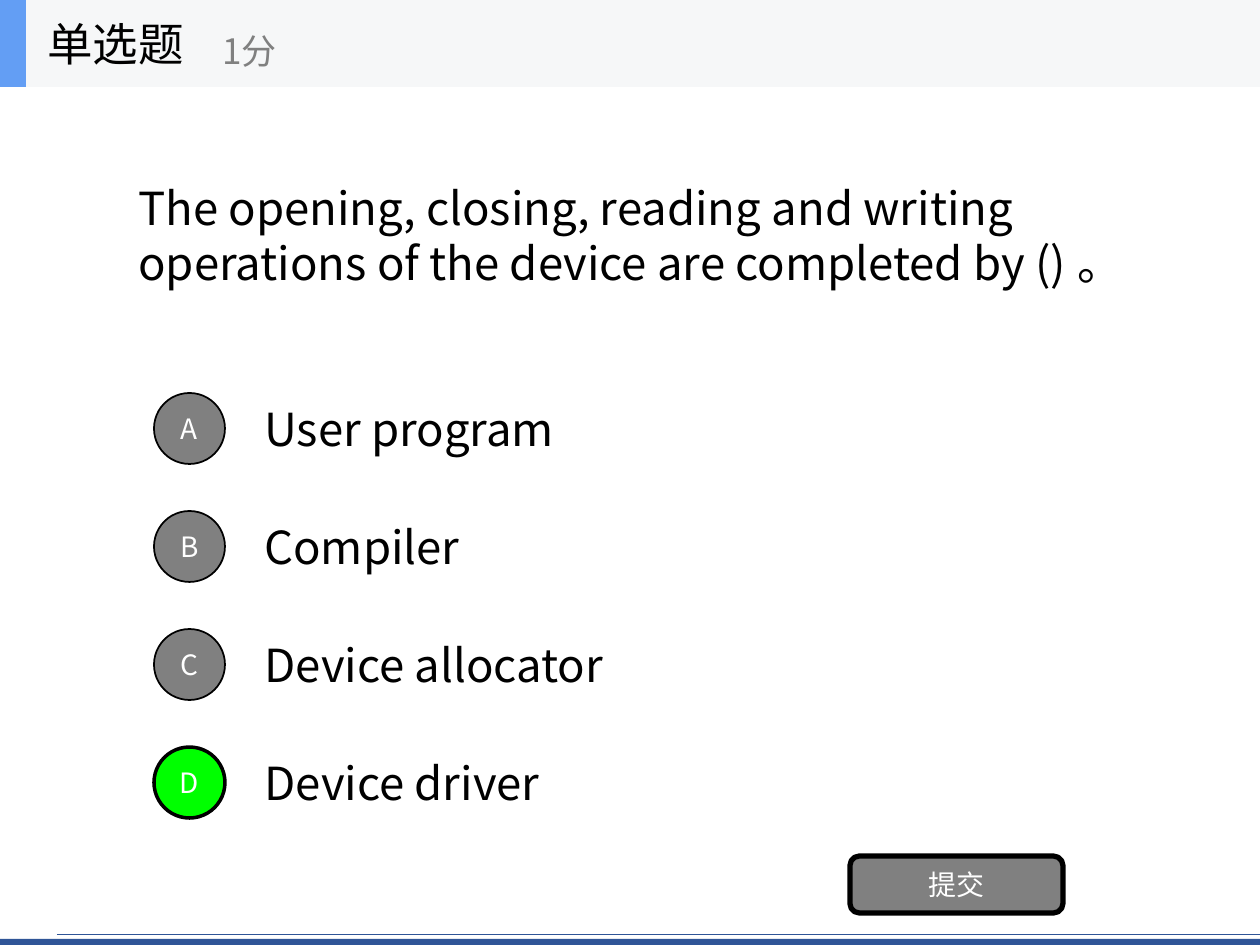
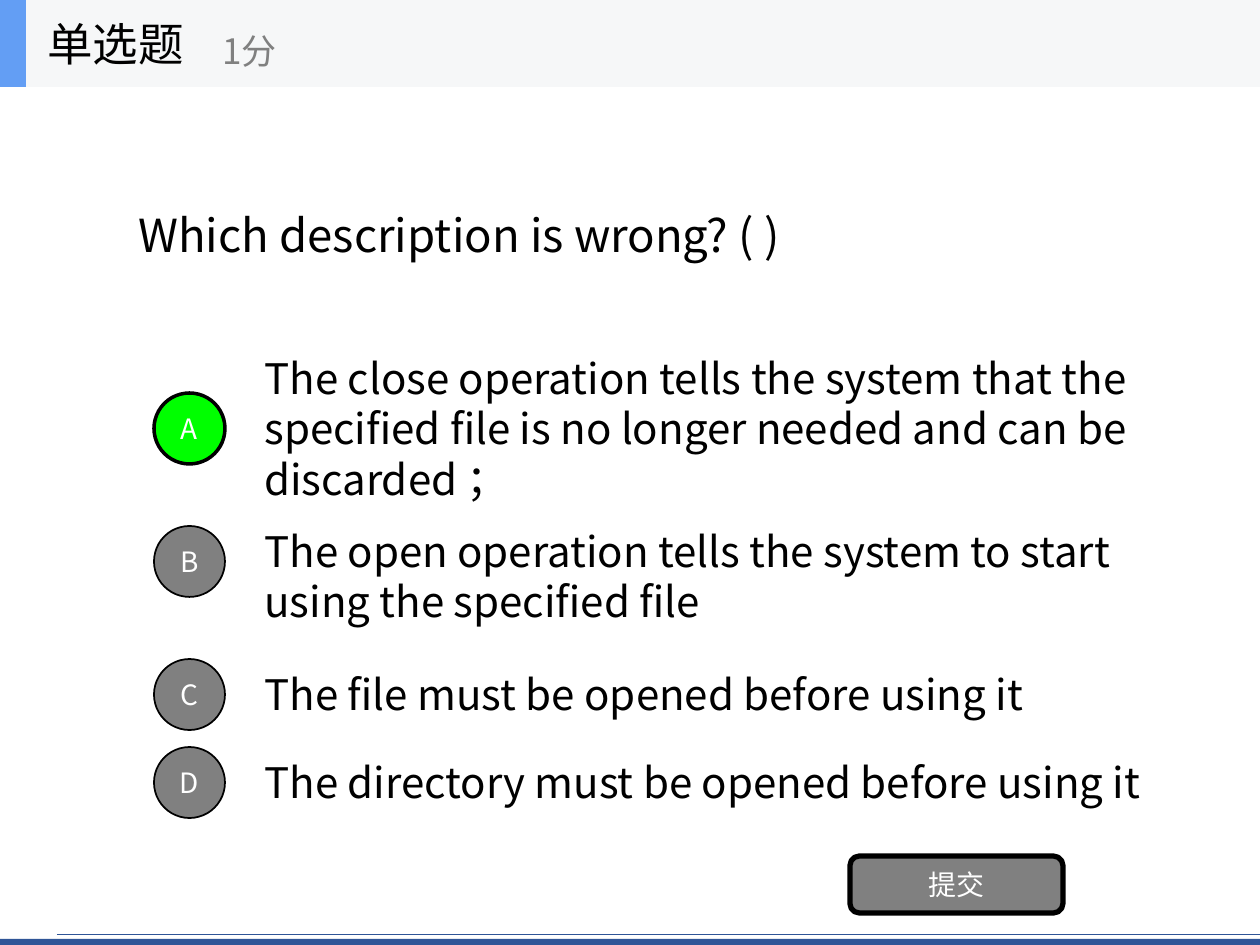
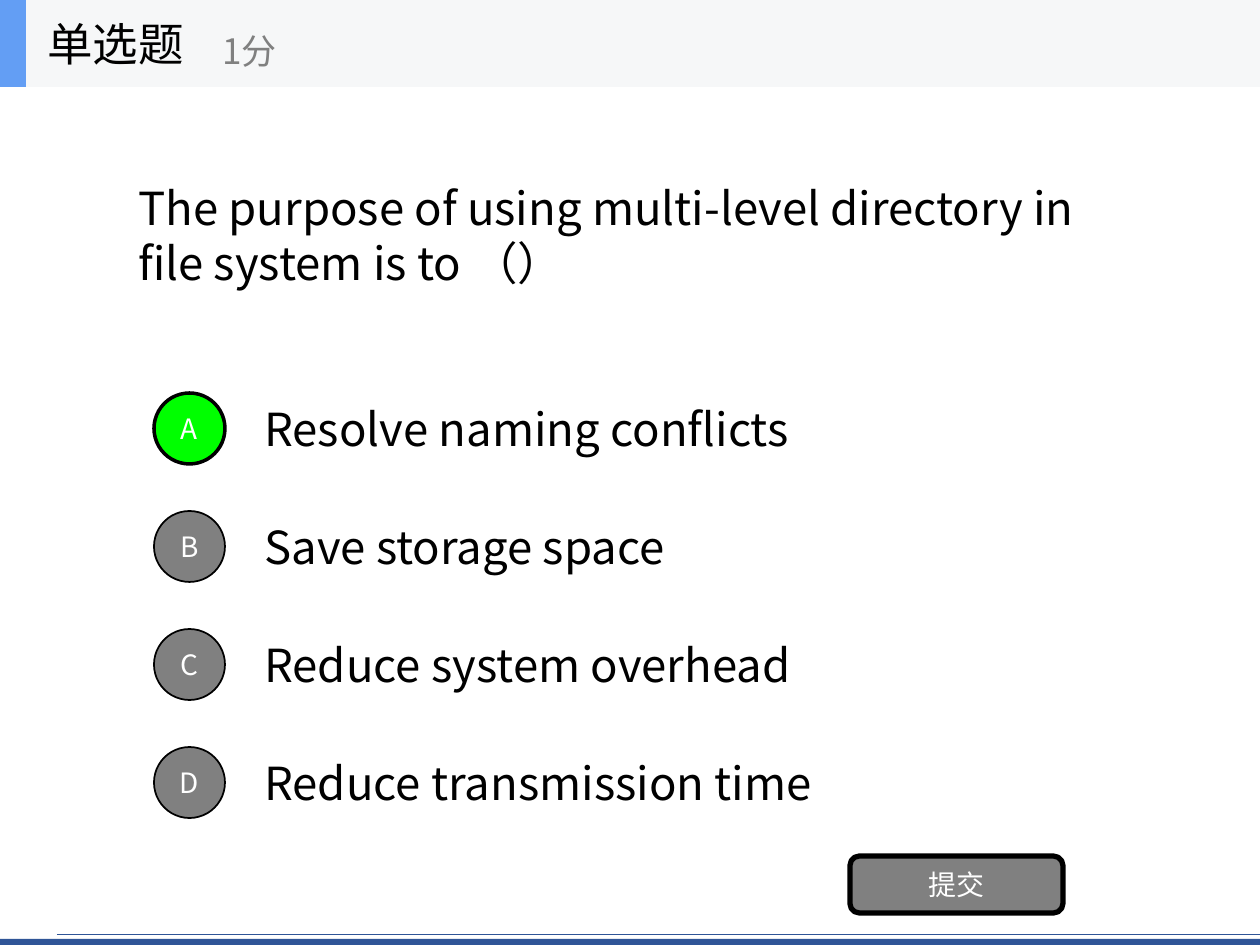
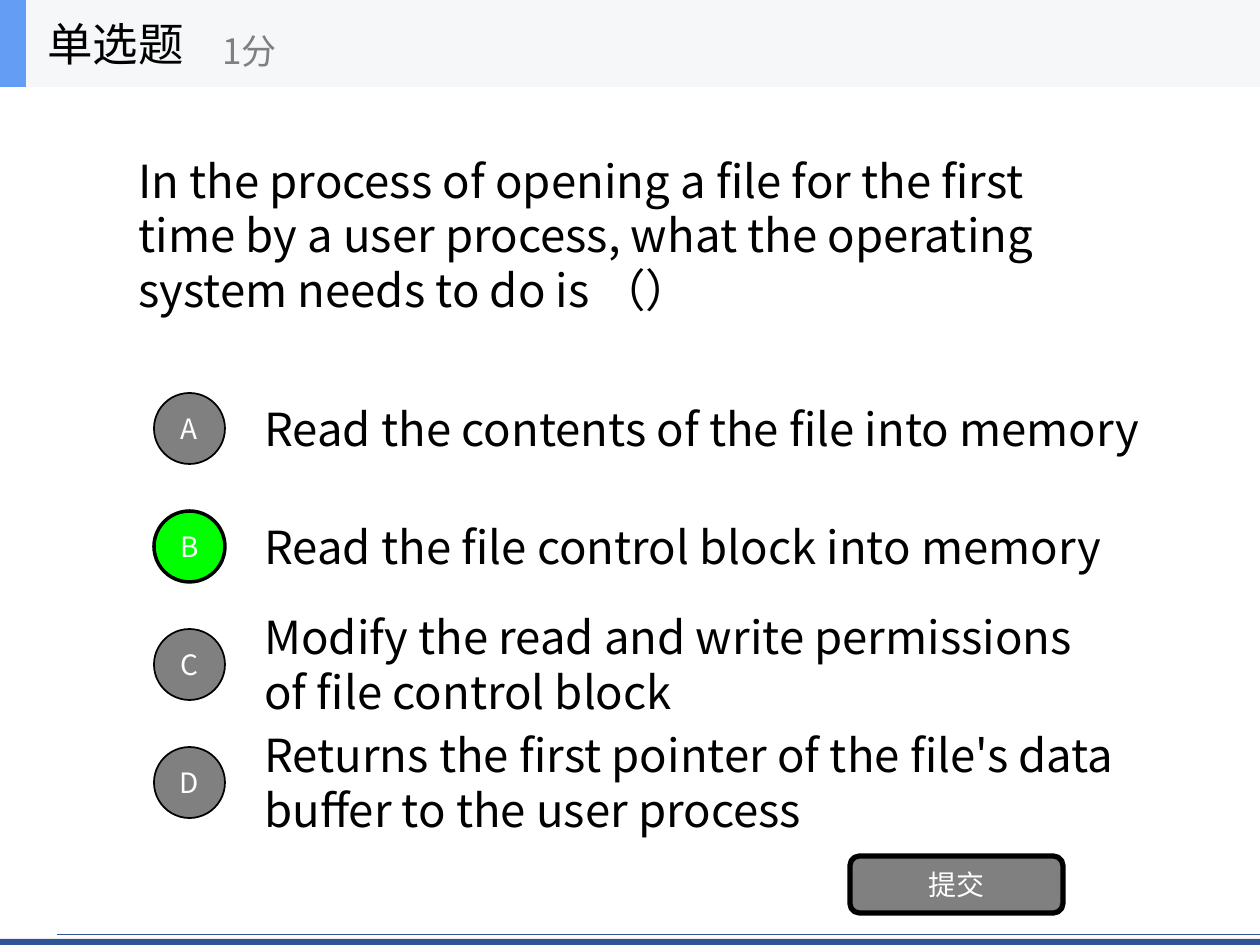
from dataclasses import dataclass

from lxml.etree import SubElement
from pptx import Presentation
from pptx.dml.color import RGBColor
from pptx.enum.shapes import MSO_CONNECTOR, MSO_SHAPE
from pptx.enum.text import MSO_ANCHOR, PP_ALIGN
from pptx.oxml.ns import qn
from pptx.util import Emu, Pt

PIXELS_PER_INCH = 126
PAGE_WIDTH, PAGE_HEIGHT = 1260, 945
FONT = "Noto Sans CJK SC"
COLORS = {
    "ink": "000000",
    "white": "FFFFFF",
    "gray": "808080",
    "correct": "00FF00",
    "header": "F6F7F8",
    "accent": "639EF4",
    "footer": "2F5597",
}
EVEN_ROWS = tuple(row * 118 for row in range(4))


@dataclass
class Question:
    prompt: str
    options: tuple
    answer: str
    prompt_width: int = 1008
    option_widths: tuple = (882, 882, 882, 882)
    option_size: int = 26
    option_rows: tuple = EVEN_ROWS
    badge_rows: tuple = EVEN_ROWS


QUESTIONS = (
    Question(
        "The opening, closing, reading and writing operations of the device are completed by () 。",
        ("User program", "Compiler", "Device allocator", "Device driver"),
        "D",
        prompt_width=1047,
    ),
    Question(
        "Which description is wrong? ( )",
        (
            "The close operation tells the system that the specified file is no longer needed and can be discarded ；",
            "The open operation tells the system to start using the specified file",
            "The file must be opened before using it",
            "The directory must be opened before using it",
        ),
        "A",
        option_widths=(971, 882, 910, 1008),
        option_size=24,
        option_rows=(0, 148, 266, 354),
        badge_rows=(0, 133, 266, 354),
    ),
    Question(
        "The purpose of using multi-level directory in file system is to （）",
        (
            "Resolve naming conflicts",
            "Save storage space",
            "Reduce system overhead",
            "Reduce transmission time",
        ),
        "A",
    ),
    Question(
        "In the process of opening a file for the first time by a user process, "
        "what the operating system needs to do is （）",
        (
            "Read the contents of the file into memory",
            "Read the file control block into memory",
            "Modify the read and write permissions of file control block",
            "Returns the first pointer of the file's data buffer to the user process",
        ),
        "B",
        option_widths=(951, 951, 882, 910),
    ),
)


def px(length):
    return Emu(round(length * 914400 / PIXELS_PER_INCH))


def color(name):
    return RGBColor.from_string(COLORS[name])


def write_text(shape, text, size, ink="ink", align=PP_ALIGN.LEFT, wrap=True, margin=None):
    frame = shape.text_frame
    frame.word_wrap = wrap
    frame.vertical_anchor = MSO_ANCHOR.MIDDLE
    if margin is not None:
        frame.margin_left = frame.margin_right = px(margin)
        frame.margin_top = frame.margin_bottom = px(margin)
    para = frame.paragraphs[0]
    para.alignment = align
    span = para.add_run()
    span.text = text
    span.font.size = Pt(size)
    span.font.name = FONT
    span.font.color.rgb = color(ink)
    SubElement(span.font._element, qn("a:ea")).set("typeface", FONT)


def add_label(shapes, box, text, **text_format):
    label = shapes.add_textbox(*map(px, box))
    write_text(label, text, **text_format)


def add_block(shapes, kind, box, fill, border=0):
    block = shapes.add_shape(kind, *map(px, box))
    block.shadow.inherit = False
    block.fill.solid()
    block.fill.fore_color.rgb = color(fill)
    if border:
        block.line.color.rgb = color("ink")
        block.line.width = Pt(border)
    else:
        block.line.fill.background()
    return block


def add_button(shapes, kind, box, text, fill="gray", border=1):
    button = add_block(shapes, kind, box, fill, border)
    write_text(button, text, size=16, ink="white", align=PP_ALIGN.CENTER, margin=0)


def add_footer(page, box):
    left, top, width, height = box
    bar_height = 6
    bar_top = top + height - bar_height
    add_block(page.shapes, MSO_SHAPE.RECTANGLE, (left, bar_top, width, bar_height), "footer")
    rule = page.shapes.add_connector(
        MSO_CONNECTOR.STRAIGHT, px(left + 57), px(top), px(left + width), px(top)
    )
    rule.line.color.rgb = color("footer")
    rule.line.width = Pt(0.5)
    SubElement(rule._element.spPr, qn("a:effectLst"))


def add_header(page, box):
    left, top, width, height = box
    shapes = page.shapes.add_group_shape().shapes
    add_block(shapes, MSO_SHAPE.RECTANGLE, box, "header")
    add_block(shapes, MSO_SHAPE.RECTANGLE, (left, top, 26, height), "accent")
    add_label(shapes, (left + 35, top, 262, height), "单选题", size=26, wrap=False)
    add_label(
        shapes, (left + 210, top + 15, 315, height - 16), "1分", size=20, ink="gray", wrap=False
    )


def add_options(page, box, question):
    left, top, width, height = box
    text_left, badge_size = left + 98, 71
    for text, row, text_width in zip(
        question.options, question.option_rows, question.option_widths
    ):
        add_label(
            page.shapes,
            (text_left, top + row, text_width, height),
            text,
            size=question.option_size,
        )
    for letter, row in zip("ABCD", question.badge_rows):
        correct = letter == question.answer
        add_button(
            page.shapes,
            MSO_SHAPE.OVAL,
            (left, top + row + 9, badge_size, badge_size),
            letter,
            fill="correct" if correct else "gray",
            border=2 if correct else 1,
        )


def add_question_page(deck, question):
    page = deck.slides.add_slide(deck.slide_layouts[6])
    add_footer(page, (0, 934, PAGE_WIDTH, 11))
    add_label(page.shapes, (126, 87, question.prompt_width, 295), question.prompt, size=26)
    add_options(page, (154, 384, 1106, 88), question)
    add_button(page.shapes, MSO_SHAPE.ROUNDED_RECTANGLE, (850, 856, 213, 57), "提交", border=3)
    add_header(page, (0, 0, PAGE_WIDTH, 87))


def main():
    deck = Presentation()
    deck.slide_width, deck.slide_height = px(PAGE_WIDTH), px(PAGE_HEIGHT)
    for question in QUESTIONS:
        add_question_page(deck, question)
    deck.save("out.pptx")


if __name__ == "__main__":
    main()
